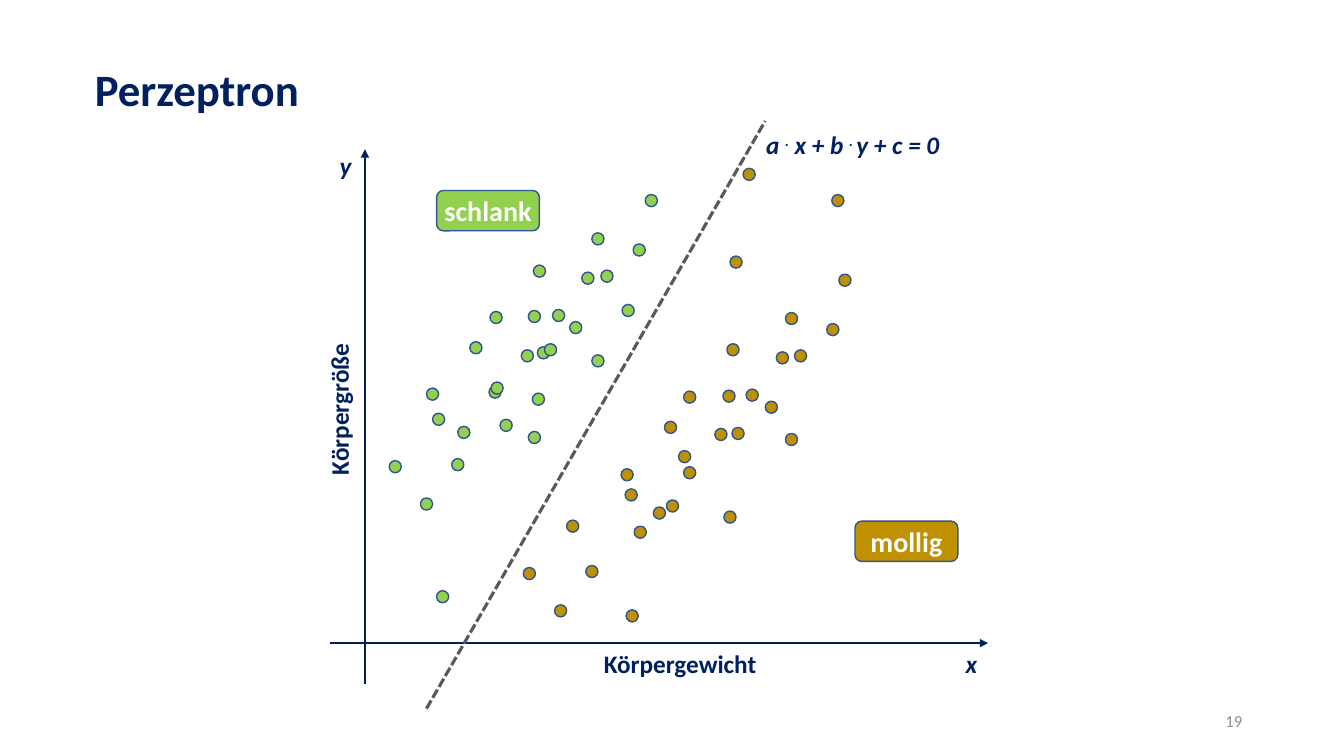
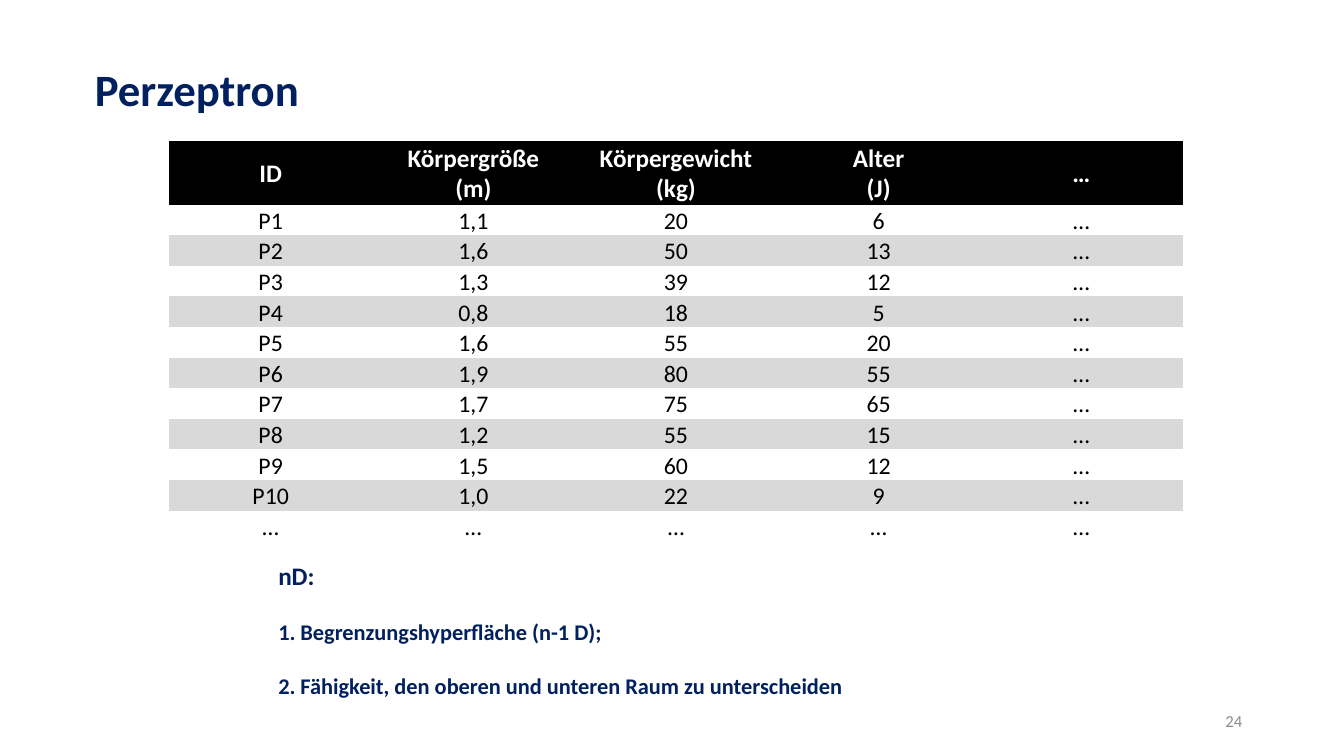
from lxml import etree
from pptx import Presentation
from pptx import util as u
from pptx.dml.color import RGBColor
from pptx.enum import dml, shapes, text
from pptx.oxml import ns

PX = 9144  # EMU per px, 100 px to the inch
FONT = "Calibri"
NAVY = RGBColor(0x00, 0x20, 0x60)
GREEN = RGBColor(0x92, 0xD0, 0x50)
OCHRE = RGBColor(0xBF, 0x90, 0x00)
OUTLINE = RGBColor(0x32, 0x54, 0x91)
DARK_GREY = RGBColor(0x59, 0x59, 0x59)
NUMBER_GREY = RGBColor(0x8C, 0x8C, 0x8C)
BAND_GREY = RGBColor(0xD9, 0xD9, 0xD9)
BLACK = RGBColor(0x00, 0x00, 0x00)
WHITE = RGBColor(0xFF, 0xFF, 0xFF)

TITLE_AND_CONTENT, TITLE_ONLY = 1, 5
PLAIN_TABLE_STYLE = "{2D5ABB26-0587-4C30-8999-92F81FD0307C}"
DOT_SIZE = 12

# Left and top of each dot, in px
SLIM_DOTS = [
    (386, 457), (417, 494), (423, 385), (429, 410), (433, 586), (448, 455),
    (454, 423), (466, 339), (485, 383), (486, 309), (487, 379), (496, 416),
    (517, 347), (524, 308), (524, 428), (528, 390), (529, 263), (533, 344),
    (540, 341), (548, 307), (565, 319), (577, 270), (587, 231), (587, 352),
    (596, 268), (617, 302), (628, 242), (640, 193),
]
PLUMP_DOTS = [
    (519, 563), (550, 600), (562, 516), (581, 561), (616, 465), (620, 485),
    (621, 605), (629, 522), (648, 503), (659, 418), (661, 496), (673, 447),
    (678, 388), (678, 463), (709, 425), (717, 387), (718, 507), (721, 341),
    (724, 254), (726, 424), (737, 167), (740, 386), (759, 398), (770, 349),
    (779, 310), (779, 430), (788, 347), (820, 321), (825, 193), (832, 272),
]

TABLE_ROWS = [
    ("ID", "Körpergröße\n(m)", "Körpergewicht\n(kg)", "Alter\n(J)", "…"),
    ("P1", "1,1", "20", "6", "…"),
    ("P2", "1,6", "50", "13", "…"),
    ("P3", "1,3", "39", "12", "…"),
    ("P4", "0,8", "18", "5", "…"),
    ("P5", "1,6", "55", "20", "…"),
    ("P6", "1,9", "80", "55", "…"),
    ("P7", "1,7", "75", "65", "…"),
    ("P8", "1,2", "55", "15", "…"),
    ("P9", "1,5", "60", "12", "…"),
    ("P10", "1,0", "22", "9", "…"),
    ("…",) * 5,
]


def px(*lengths):
    return [u.Emu(length * PX) for length in lengths]


def place(shape, left, top, width, height):
    shape.left, shape.top, shape.width, shape.height = px(left, top, width, height)


def format_paragraph(paragraph, size, color=NAVY, bold=True, italic=False,
                     align=text.PP_ALIGN.LEFT):
    paragraph.alignment = align
    font = paragraph.font
    font.name, font.size = FONT, u.Pt(size)
    font.bold, font.italic = bold, italic
    font.color.rgb = color


def add_text(slide, box, words, size=18, anchor=text.MSO_ANCHOR.TOP, **style):
    shape = slide.shapes.add_textbox(*px(*box))
    frame = shape.text_frame
    frame.word_wrap = True
    frame.vertical_anchor = anchor
    frame.text = words
    format_paragraph(frame.paragraphs[0], size, **style)
    return shape


def add_slide(presentation, layout, title, number):
    """Adds a slide with the shared title style and slide number."""
    slide = presentation.slides.add_slide(presentation.slide_layouts[layout])
    place(slide.shapes.title, 84, 56, 413, 64)
    frame = slide.shapes.title.text_frame
    frame.text = title
    frame.vertical_anchor = text.MSO_ANCHOR.TOP
    frame.auto_size = text.MSO_AUTO_SIZE.NONE
    format_paragraph(frame.paragraphs[0], 32)
    add_text(slide, (942, 695, 300, 40), str(number), 12, text.MSO_ANCHOR.MIDDLE,
             color=NUMBER_GREY, bold=False, align=text.PP_ALIGN.RIGHT)
    return slide


def add_filled_shape(slide, kind, box, fill):
    shape = slide.shapes.add_shape(kind, *px(*box))
    shape.shadow.inherit = False
    shape.fill.solid()
    shape.fill.fore_color.rgb = fill
    shape.line.color.rgb = OUTLINE
    shape.line.width = u.Pt(1)
    return shape


def add_class_label(slide, left, top, words, fill):
    shape = add_filled_shape(slide, shapes.MSO_SHAPE.ROUNDED_RECTANGLE,
                             (left, top, 102, 40), fill)
    frame = shape.text_frame
    frame.margin_left = frame.margin_right = 0
    frame.margin_top = frame.margin_bottom = 0
    frame.vertical_anchor = text.MSO_ANCHOR.MIDDLE
    frame.text = words
    format_paragraph(frame.paragraphs[0], 20, WHITE, align=text.PP_ALIGN.CENTER)


def add_dots(slide, positions, fill):
    for left, top in positions:
        add_filled_shape(slide, shapes.MSO_SHAPE.OVAL,
                         (left, top, DOT_SIZE, DOT_SIZE), fill)


def add_line(slide, start, end, color, width):
    connector = slide.shapes.add_connector(shapes.MSO_CONNECTOR.STRAIGHT,
                                           *px(*start, *end))
    connector.line.color.rgb = color
    connector.line.width = u.Pt(width)
    etree.SubElement(connector._element.spPr, ns.qn("a:effectLst"))
    return connector


def add_axis(slide, start, end):
    axis = add_line(slide, start, end, NAVY, 1)
    etree.SubElement(axis.line._get_or_add_ln(), ns.qn("a:tailEnd"), type="triangle")


def add_equation(slide, box):
    """Writes the line equation with raised dots as multiplication signs."""
    shape = add_text(slide, box, "", italic=True)
    paragraph = shape.text_frame.paragraphs[0]
    for words in ("a ", ".", " x + b ", ". ", "y + c = 0"):
        run = paragraph.add_run()
        run.text = words
        if words.startswith("."):
            run._r.get_or_add_rPr().set("baseline", "30000")


def add_table(slide, left, top, column_width, header_height, row_height):
    row_count, column_count = len(TABLE_ROWS), len(TABLE_ROWS[0])
    height = header_height + row_height * (row_count - 1)
    table = slide.shapes.add_table(
        row_count, column_count,
        *px(left, top, column_width * column_count, height)).table
    table._tbl.tblPr.find(ns.qn("a:tableStyleId")).text = PLAIN_TABLE_STYLE
    table.horz_banding = False
    for column in table.columns:
        column.width = px(column_width)[0]
    for index, values in enumerate(TABLE_ROWS):
        is_header = index == 0
        table.rows[index].height = px(header_height if is_header else row_height)[0]
        for cell, value in zip(table.rows[index].cells, values):
            fill_cell(cell, value, is_header, is_banded=index % 2 == 0)


def fill_cell(cell, value, is_header, is_banded):
    cell.margin_left, cell.margin_right, cell.margin_top, cell.margin_bottom = px(2, 2, 2, 0)
    cell.vertical_anchor = text.MSO_ANCHOR.MIDDLE
    if is_header or is_banded:
        cell.fill.solid()
        cell.fill.fore_color.rgb = BLACK if is_header else BAND_GREY
    else:
        cell.fill.background()
    cell.text = value
    for paragraph in cell.text_frame.paragraphs:
        format_paragraph(paragraph, 18 if is_header else 17,
                         WHITE if is_header else BLACK, bold=is_header,
                         align=text.PP_ALIGN.CENTER)


def set_bullet(paragraph, tag, indent=0, **attributes):
    properties = paragraph._p.get_or_add_pPr()
    properties.set("marL", str(indent * PX))
    properties.set("indent", str(-indent * PX))
    etree.SubElement(properties, ns.qn(tag), **attributes)


def fill_numbered_list(body, heading, items):
    frame = body.text_frame
    frame.auto_size = text.MSO_AUTO_SIZE.NONE
    frame.text = "\n".join([heading, *items])
    first, *numbered = frame.paragraphs
    set_bullet(first, "a:buNone")
    first.space_before = u.Pt(0)
    format_paragraph(first, 18)
    for paragraph in numbered:
        set_bullet(paragraph, "a:buAutoNum", indent=22, type="arabicPeriod")
        paragraph.space_before = u.Pt(19.5)
        format_paragraph(paragraph, 16)


def build_scatter_slide(presentation):
    slide = add_slide(presentation, TITLE_ONLY, "Perzeptron", 19)
    add_class_label(slide, 433, 189, "schlank", GREEN)
    add_class_label(slide, 848, 517, "mollig", OCHRE)
    add_axis(slide, (362, 679), (362, 148))
    add_axis(slide, (327, 638), (980, 638))
    add_text(slide, (589, 638, 182, 40), "Körpergewicht")
    height_label = add_text(slide, (260, 386, 152, 40), "Körpergröße",
                            align=text.PP_ALIGN.CENTER)
    height_label.rotation = 270
    add_text(slide, (948, 638, 32, 40), "x", italic=True)
    add_text(slide, (327, 144, 32, 40), "y", italic=True)
    boundary = add_line(slide, (423, 703), (759, 120), DARK_GREY, 2.25)
    boundary.line.dash_style = dml.MSO_LINE.SQUARE_DOT
    add_dots(slide, SLIM_DOTS, GREEN)
    add_dots(slide, PLUMP_DOTS, OCHRE)
    add_equation(slide, (750, 123, 272, 40))


def build_table_slide(presentation):
    slide = add_slide(presentation, TITLE_AND_CONTENT, "Perzeptron", 24)
    body = slide.placeholders[1]
    place(body, 266, 551, 675, 148)
    fill_numbered_list(body, "nD:", [
        "Begrenzungshyperfläche (n-1 D);",
        "Fähigkeit, den oberen und unteren Raum zu unterscheiden",
    ])
    add_table(slide, 168, 140, column_width=201, header_height=63, row_height=30)


def main():
    presentation = Presentation()
    presentation.slide_width, presentation.slide_height = px(1333, 750)
    build_scatter_slide(presentation)
    build_table_slide(presentation)
    presentation.save("out.pptx")


if __name__ == "__main__":
    main()
